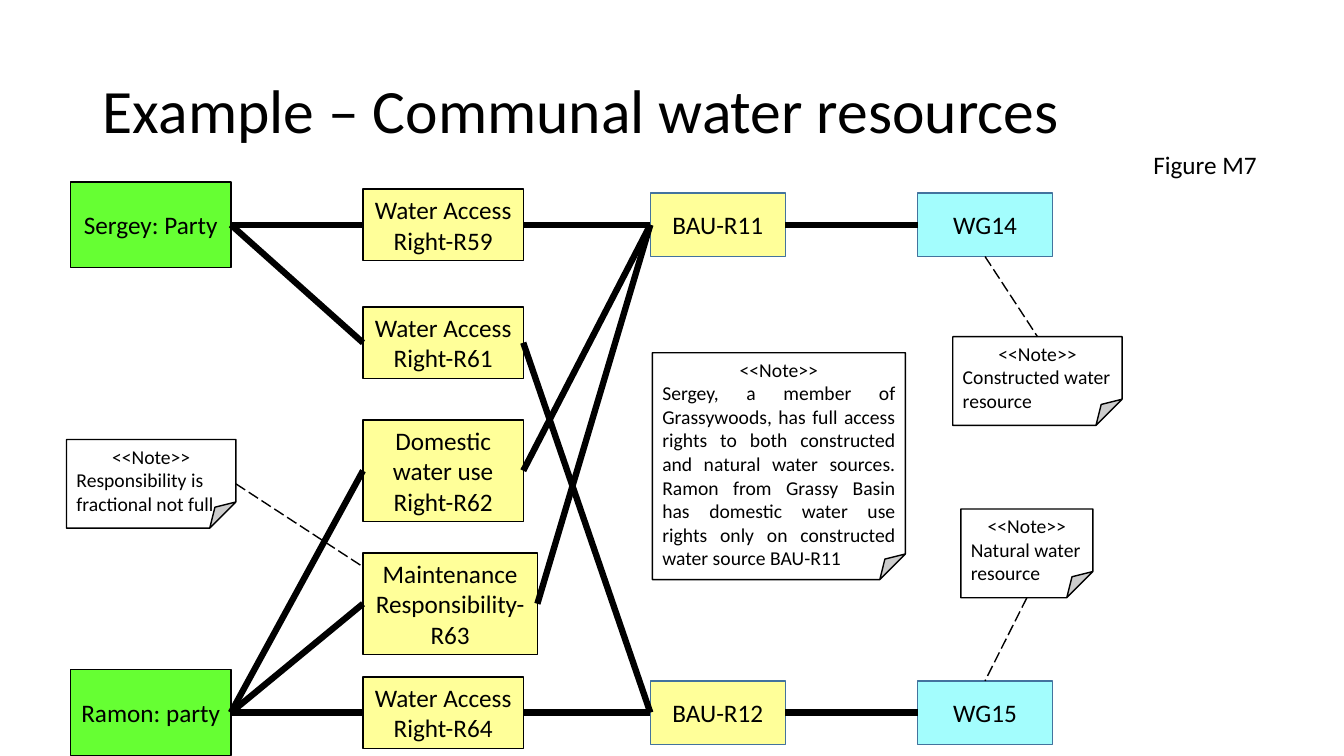
from pptx import Presentation
from pptx.dml.color import RGBColor as RGB
from pptx.enum.dml import MSO_LINE as Dash
from pptx.enum.shapes import MSO_CONNECTOR as Link, MSO_SHAPE as Form
from pptx.enum.text import MSO_ANCHOR as Anchor, PP_ALIGN as Align
from pptx.oxml.ns import qn
from pptx.util import Inches, Pt
from lxml import etree

BLACK = RGB(0x00, 0x00, 0x00)
WHITE = RGB(0xFF, 0xFF, 0xFF)
GREEN = RGB(0x66, 0xFF, 0x33)
YELLOW = RGB(0xFF, 0xFF, 0x99)
AQUA = RGB(0x69, 0xFD, 0xFD)
BLUE = RGB(0x43, 0x73, 0x9E)

TITLE = "Example – Communal water resources"
FIGURE = "Figure M7"
HEAD = "<<Note>>"

COLS = {"party": 0.7, "right": 3.6, "unit": 6.45, "water": 9.1}
ROWS = [2.23, 3.4, 4.67, 5.99, 7.07]
KINDS = {
    "party": dict(width=1.59, height=0.85, fill=GREEN, line=BLACK),
    "right": dict(width=1.59, height=0.71, fill=YELLOW, line=BLACK),
    "unit": dict(width=1.34, height=0.63, fill=YELLOW, line=BLUE),
    "water": dict(width=1.34, height=0.63, fill=AQUA, line=BLUE, alpha=61),
}
BOXES = {
    "Sergey": ("party", 0, "Sergey: Party", {}),
    "Ramon": ("party", 4, "Ramon: party", {}),
    "R59": ("right", 0, "Water Access Right-R59", {}),
    "R61": ("right", 1, "Water Access Right-R61", {}),
    "R62": ("right", 2, "Domestic water use Right-R62", dict(height=1.01)),
    "R63": ("right", 3, "Maintenance Responsibility-R63", dict(height=1.01, width=1.73)),
    "R64": ("right", 4, "Water Access Right-R64", {}),
    "R11": ("unit", 0, "BAU-R11", {}),
    "R12": ("unit", 4, "BAU-R12", {}),
    "WG14": ("water", 0, "WG14", {}),
    "WG15": ("water", 4, "WG15", {}),
}
NOTES = {
    "story": ((6.47, 3.5, 2.51, 2.25), 11300, Align.JUSTIFY,
              "Sergey, a member of Grassywoods, has full access rights to both "
              "constructed and natural water sources. Ramon from Grassy Basin has "
              "domestic water use rights only on constructed water source BAU-R11"),
    "natural": ((9.53, 5.05, 1.31, 0.88), 29500, Align.LEFT, "Natural water resource"),
    "built": ((9.45, 3.34, 1.68, 0.88), 29500, Align.LEFT, "Constructed water resource"),
    "share": ((0.66, 4.36, 1.68, 0.88), 29500, Align.LEFT,
              "Responsibility is fractional not full"),
}
TIES = [
    ("Sergey", "R59"), ("Sergey", "R61"),
    ("Ramon", "R62"), ("Ramon", "R63"), ("Ramon", "R64"),
    ("R59", "R11"), ("R61", "R12"), ("R62", "R11"), ("R63", "R11"), ("R64", "R12"),
    ("R11", "WG14"), ("R12", "WG15"),
]
TOP, LEFT, BOTTOM, RIGHT = range(4)
HINTS = [
    ("WG14", BOTTOM, "built", TOP),
    ("natural", BOTTOM, "WG15", TOP),
    ("share", RIGHT, (3.58, 5.61), None),
]


def write(frame, paras, size, **form):
    for key, val in {"word_wrap": True, **form}.items():
        setattr(frame, key, val)
    for num, (text, align) in enumerate(paras):
        para = frame.paragraphs[0] if num == 0 else frame.add_paragraph()
        para.alignment = align
        run = para.add_run()
        run.text = text
        for key, val in dict(name="Calibri", size=Pt(size)).items():
            setattr(run.font, key, val)
        run.font.color.rgb = BLACK


def block(form, area, fill, edge, alpha=None):
    shape = slide.shapes.add_shape(form, *map(Inches, area))
    shape.shadow.inherit = False
    shape.fill.solid()
    shape.fill.fore_color.rgb = fill
    shape.line.color.rgb = edge
    shape.line.width = Pt(1)
    if alpha:
        tone = shape._element.spPr.find(qn("a:solidFill")).find(qn("a:srgbClr"))
        etree.SubElement(tone, qn("a:alpha")).set("val", str(alpha * 1000))
    return shape


def crease(shape, fold):
    geom = shape._element.spPr.find(qn("a:prstGeom"))
    guides = geom.find(qn("a:avLst"))
    if guides is None:
        guides = etree.SubElement(geom, qn("a:avLst"))
    etree.SubElement(guides, qn("a:gd"), name="adj", fmla=f"val {fold}")


def join(start, side, end, port, width, dash=None):
    spot = end if port is None else (0, 0)
    line = slide.shapes.add_connector(Link.STRAIGHT, 0, 0, *map(Inches, spot))
    line.begin_connect(parts[start], side)
    if port is not None:
        line.end_connect(parts[end], port)
    line.line.color.rgb = BLACK
    line.line.width = Pt(width)
    if dash:
        line.line.dash_style = dash
    etree.SubElement(line._element.spPr, qn("a:effectLst"))


deck = Presentation()
deck.slide_width, deck.slide_height = Inches(13.33), Inches(7.5)
slide = deck.slides.add_slide(deck.slide_layouts[5])

title = slide.shapes.title
for key, val in dict(left=0.92, top=0.4, width=11.5, height=1.45).items():
    setattr(title, key, Inches(val))
write(title.text_frame, [(TITLE, Align.LEFT)], 44, vertical_anchor=Anchor.MIDDLE)
title.text_frame.paragraphs[0].line_spacing = 0.9

label = slide.shapes.add_textbox(*map(Inches, (11.34, 1.43, 1.76, 0.4)))
write(label.text_frame, [(FIGURE, Align.LEFT)], 18)

parts = {}
for name, (kind, row, text, extra) in BOXES.items():
    look = {**KINDS[kind], **extra}
    wide, high = look["width"], look["height"]
    area = (COLS[kind], ROWS[row] - high / 2, wide, high)
    parts[name] = block(Form.RECTANGLE, area, look["fill"], look["line"], look.get("alpha"))
    write(parts[name].text_frame, [(text, Align.CENTER)], 18, vertical_anchor=Anchor.MIDDLE)

for name, (area, fold, align, text) in NOTES.items():
    parts[name] = block(Form.FOLDED_CORNER, area, WHITE, BLACK)
    crease(parts[name], fold)
    write(parts[name].text_frame, [(HEAD, Align.CENTER), (text, align)], 14,
          vertical_anchor=Anchor.TOP)

for start, end in TIES:
    join(start, RIGHT, end, LEFT, 4.5)
for hint in HINTS:
    join(*hint, 1, Dash.LONG_DASH)

deck.save("out.pptx")
